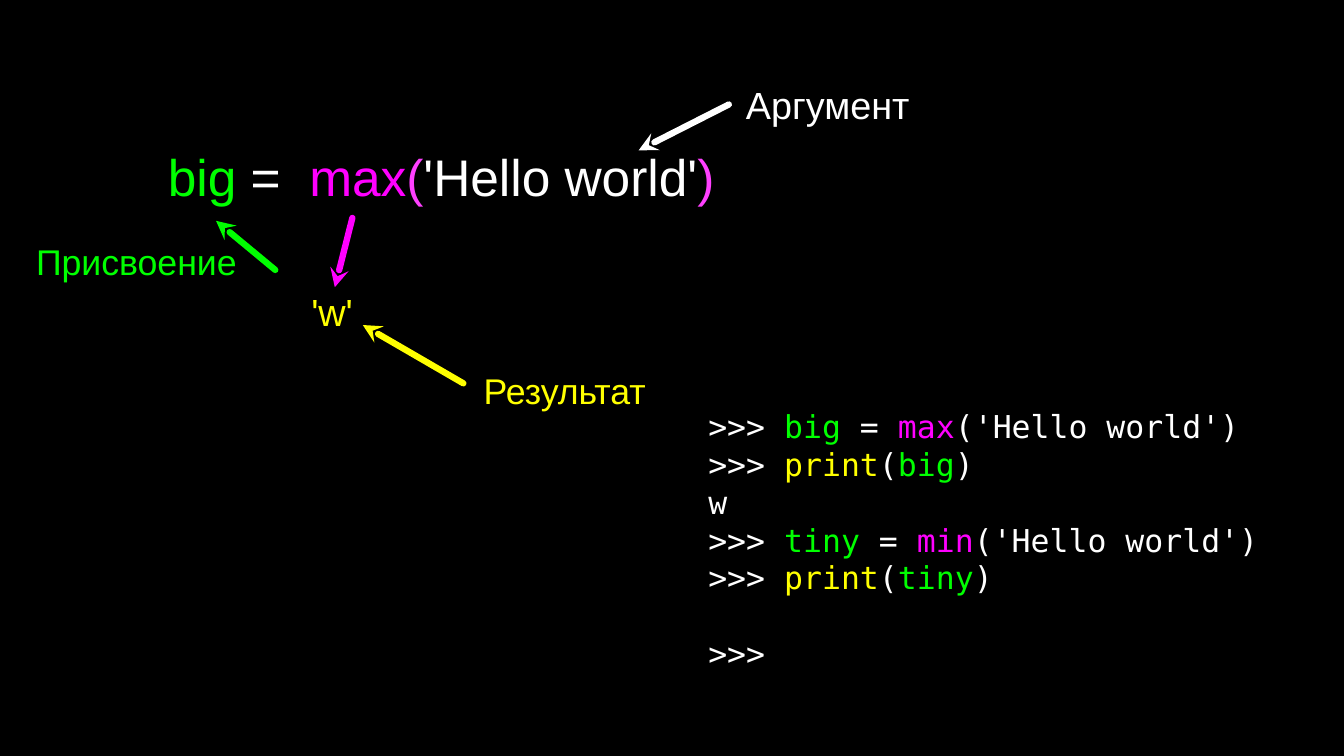
"""Build a slide explaining a call of max() on a string."""
import pptx
import pptx.dml.color
import pptx.enum.shapes
import pptx.enum.text
import pptx.oxml.ns
import pptx.util
from lxml import etree

Cm, Pt = pptx.util.Cm, pptx.util.Pt
RGBColor = pptx.dml.color.RGBColor
BLACK = RGBColor(0x00, 0x00, 0x00)
WHITE = RGBColor(0xFF, 0xFF, 0xFF)
GREEN = RGBColor(0x00, 0xFF, 0x00)
YELLOW = RGBColor(0xFF, 0xFF, 0x00)
MAGENTA = RGBColor(0xFF, 0x00, 0xFF)
PINK = RGBColor(0xFF, 0x40, 0xFF)
LEFT, CENTER = pptx.enum.text.PP_ALIGN.LEFT, pptx.enum.text.PP_ALIGN.CENTER
LINE_PITCH = Pt(36)


def add_text(s, box, lines, size, font="Arial", align=LEFT):
    """Add a text box whose lines are lists of (text, colour) runs."""
    sp = s.shapes.add_textbox(*[Cm(v) for v in box])
    tf = sp.text_frame
    tf.word_wrap = True
    tf.vertical_anchor = pptx.enum.text.MSO_ANCHOR.MIDDLE
    tf.margin_left = tf.margin_right = tf.margin_top = tf.margin_bottom = 0
    for i, line in enumerate(lines):
        p = tf.add_paragraph() if i else tf.paragraphs[0]
        p.alignment = align
        p.font.name = font
        p.font.size = Pt(size)
        for text, color in line:
            r = p.add_run()
            r.text = text
            r.font.color.rgb = color
    return tf


prs = pptx.Presentation()
prs.slide_width, prs.slide_height = Cm(45.16), Cm(25.4)
s = prs.slides.add_slide(prs.slide_layouts[6])
s.background.fill.solid()
s.background.fill.fore_color.rgb = BLACK

prompt = (">>> ", WHITE)
code = []
for name, func in (("big", "max"), ("tiny", "min")):
    code.append([prompt, (name, GREEN), (" = ", WHITE), (func, MAGENTA), ("('Hello world')", WHITE)])
    code.append([prompt, ("print", YELLOW), ("(", WHITE), (name, GREEN), (")", WHITE)])
code.insert(2, [("w", WHITE)])
code.append([(">>>", WHITE)])
tf = add_text(s, (23.8, 13.54, 19.4, 9.17), code, 30, "DejaVu Sans Mono")
for p in tf.paragraphs:
    p.line_spacing = LINE_PITCH
tf.paragraphs[-1].space_before = LINE_PITCH

formula = [("big", GREEN), (" =  ", WHITE), ("max", MAGENTA), ("(", PINK), ("'Hello world'", WHITE), (")", PINK)]
add_text(s, (5.64, 4.78, 22.17, 2.26), [formula], 49)

labels = [
    ("Аргумент", 24.49, 2.64, 6.65, 36, WHITE, CENTER),
    ("'w'", 10.46, 9.6, 1.7, 36, YELLOW, LEFT),
    ("Результат", 15.98, 12.24, 5.99, 34, YELLOW, CENTER),
    ("Присвоение", 0.94, 7.92, 7.29, 34, GREEN, CENTER),
]
for text, x, y, width, size, color, align in labels:
    add_text(s, (x, y, width, 1.73), [[(text, color)]], size, align=align)

arrows = [
    (21.46, 5.05, 24.49, 3.51, WHITE),
    (12.19, 10.92, 15.57, 12.88, YELLOW),
    (7.26, 7.42, 9.25, 9.07, GREEN),
    (11.25, 9.65, 11.84, 7.32, MAGENTA),
]
for *ends, color in arrows:
    sp = s.shapes.add_connector(pptx.enum.shapes.MSO_CONNECTOR.STRAIGHT, *[Cm(v) for v in ends])
    sp.line.color.rgb = color
    sp.line.width = Pt(6)
    ln = sp.line._get_or_add_ln()
    ln.set("cap", "rnd")
    etree.SubElement(ln, pptx.oxml.ns.qn("a:headEnd"), type="stealth")
    etree.SubElement(sp._element.spPr, pptx.oxml.ns.qn("a:effectLst"))

prs.save("out.pptx")
